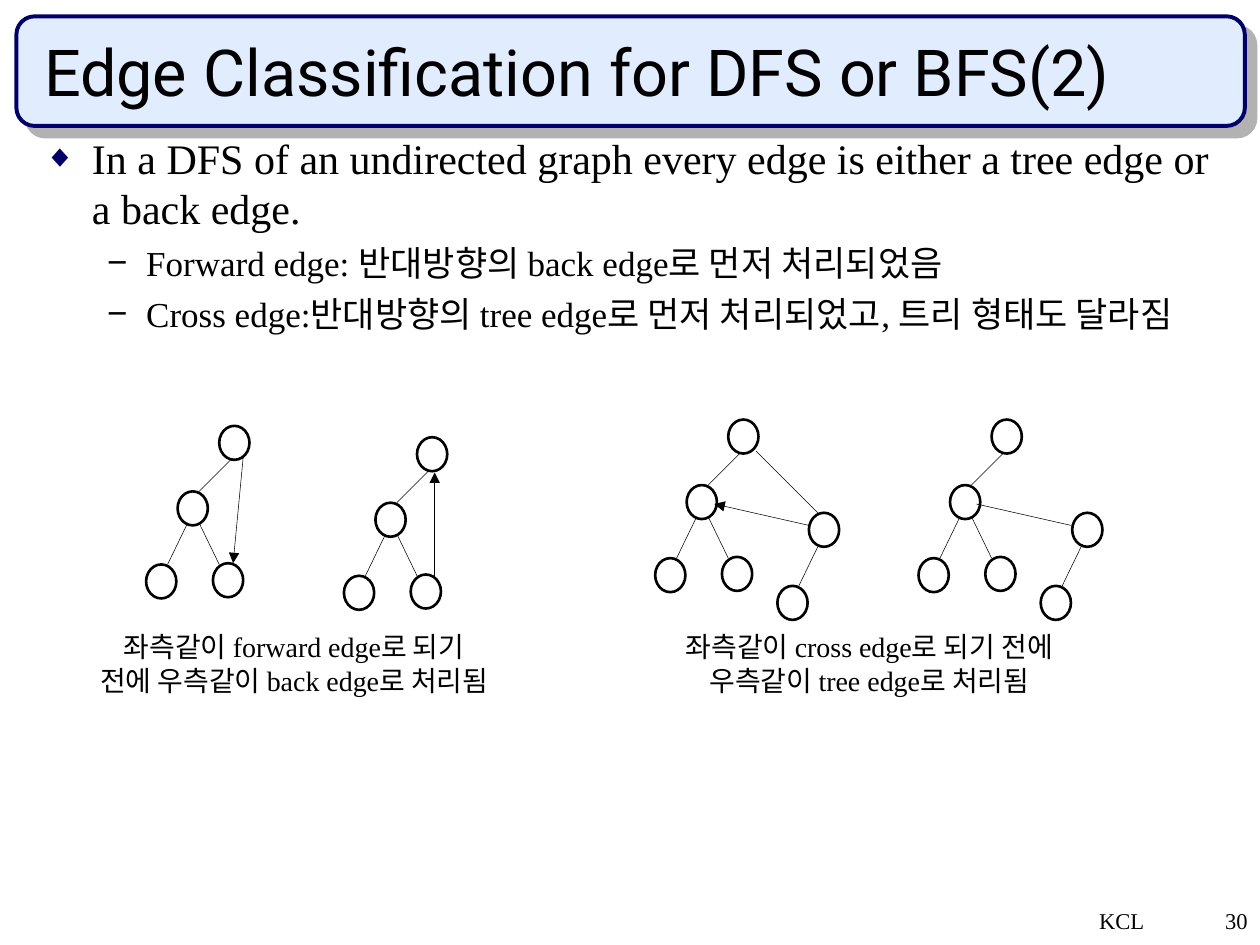
import pptx
import pptx.dml.color
import pptx.enum.shapes
import pptx.enum.text
import pptx.oxml
import pptx.oxml.ns
import pptx.util

BLACK = pptx.dml.color.RGBColor(0x00, 0x00, 0x00)
WHITE = pptx.dml.color.RGBColor(0xFF, 0xFF, 0xFF)
NAVY = pptx.dml.color.RGBColor(0x00, 0x00, 0x66)
PALE_BLUE = pptx.dml.color.RGBColor(0xE1, 0xEC, 0xFF)
GREY = pptx.dml.color.RGBColor(0xB2, 0xB2, 0xB2)

SERIF = "Times New Roman"
SANS = "Roboto"
ALIGN = pptx.enum.text.PP_ALIGN
SHAPE = pptx.enum.shapes.MSO_SHAPE

# The slide is a grid of 10 columns by 7.5 rows with square cells
COLUMNS, ROWS = 10, 7.5
CELL = pptx.util.Inches(1)

# Node and edge positions in grid cells from the root node's corner
NODE_WIDTH, NODE_HEIGHT = 0.24, 0.27
BASE_NODES = [(0, 0), (-0.33, 0.52), (-0.58, 1.1), (-0.05, 1.09)]
BASE_EDGES = [
    (0.09, 0.27, -0.16, 0.52),
    (-0.25, 0.77, -0.41, 1.1),
    (-0.16, 0.77, 0, 1.1),
]
BRANCH_NODES = [(0.64, 0.74), (0.39, 1.32)]
BRANCH_EDGE = (0.72, 0.99, 0.56, 1.32)
FORWARD_EDGE = (0.19, 0.25, 0.11, 1.09)
BACK_EDGE = (0.14, 1.11, 0.14, 0.28)
ROOT_EDGE = (0.22, 0.25, 0.72, 0.75)
CROSS_EDGE = (0.64, 0.84, -0.11, 0.67)
TREE_EDGE = (-0.12, 0.67, 0.63, 0.84)


def grid(*cells):
    return [round(cell * CELL) for cell in cells]


def add_xml(parent, tag, **attributes):
    child = pptx.oxml.parse_xml(f"<a:{tag} {pptx.oxml.ns.nsdecls('a')}/>")
    for name, value in attributes.items():
        child.set(name, str(value))
    parent.append(child)
    return child


def place(shape, left, top, width, height):
    shape.left, shape.top, shape.width, shape.height = grid(left, top, width, height)


def write(paragraph, text, size, font=SERIF, align=ALIGN.LEFT, before=0,
          line_spacing=None, bullet=None, tab=None):
    paragraph.alignment = align
    paragraph.space_before = pptx.util.Pt(before)
    paragraph.line_spacing = line_spacing
    properties = paragraph._p.get_or_add_pPr()
    if bullet:
        character, color, percent, margin, hanging = bullet
        properties.set("marL", str(pptx.util.Inches(margin)))
        properties.set("indent", str(-pptx.util.Inches(hanging)))
        add_xml(add_xml(properties, "buClr"), "srgbClr", val=color)
        add_xml(properties, "buSzPct", val=percent * 1000)
        add_xml(properties, "buChar", char=character)
    if tab:
        add_xml(add_xml(properties, "tabLst"), "tab", pos=pptx.util.Inches(tab), algn="l")
    paragraph.font.size = pptx.util.Pt(size)
    paragraph.font.name = font
    paragraph.font.color.rgb = BLACK
    paragraph.text = text


def add_text(slide, box, lines, size, wrap=True, **text_format):
    frame = slide.shapes.add_textbox(*grid(*box)).text_frame
    frame.word_wrap = wrap
    for index, line in enumerate(lines):
        paragraph = frame.add_paragraph() if index else frame.paragraphs[0]
        write(paragraph, line, size, **text_format)


def add_shape(slide, kind, box, fill, line, weight):
    shape = slide.shapes.add_shape(kind, *grid(*box))
    shape.shadow.inherit = False
    shape.fill.solid()
    shape.fill.fore_color.rgb = fill
    shape.line.color.rgb = line
    shape.line.width = pptx.util.Pt(weight)
    return shape


def add_banner(slide):
    banner = add_shape(slide, SHAPE.ROUNDED_RECTANGLE, (0.13, 0.13, 9.75, 0.87),
                       PALE_BLUE, NAVY, 2.25)
    effects = banner._element.spPr.find(pptx.oxml.ns.qn("a:effectLst"))
    shadow = add_xml(effects, "outerShdw", dist=pptx.util.Pt(8.5),
                     dir=45 * 60000, algn="ctr", rotWithShape=0)
    add_xml(shadow, "srgbClr", val=GREY)
    # Send the banner behind the title
    slide.shapes._spTree.insert(2, banner._element)


def add_edge(slide, root, edge, arrow=False):
    x, y = root
    x1, y1, x2, y2 = edge
    connector = slide.shapes.add_connector(
        pptx.enum.shapes.MSO_CONNECTOR.STRAIGHT, *grid(x + x1, y + y1, x + x2, y + y2))
    connector.line.color.rgb = BLACK
    connector.line.width = pptx.util.Pt(0.31)
    if arrow:
        add_xml(connector.line._get_or_add_ln(), "tailEnd", type="triangle")
    add_xml(connector._element.spPr, "effectLst")


def add_tree(slide, root, branch=False, edges=(), arrow=None):
    for x, y in BASE_NODES + (BRANCH_NODES if branch else []):
        add_shape(slide, SHAPE.OVAL, (root[0] + x, root[1] + y, NODE_WIDTH, NODE_HEIGHT),
                  WHITE, BLACK, 1.5)
    for edge in BASE_EDGES + ([BRANCH_EDGE] if branch else []) + list(edges):
        add_edge(slide, root, edge)
    if arrow:
        add_edge(slide, root, arrow, arrow=True)


def fill_title(title):
    place(title, 0.25, 0.25, 9.42, 0.67)
    frame = title.text_frame
    frame.auto_size = pptx.enum.text.MSO_AUTO_SIZE.NONE
    frame.vertical_anchor = pptx.enum.text.MSO_ANCHOR.BOTTOM
    write(frame.paragraphs[0], "Edge Classification for DFS or BFS(2)", 37, font=SANS)


def fill_body(body):
    place(body, 0.25, 1, 9.67, 2.17)
    frame = body.text_frame
    frame.auto_size = pptx.enum.text.MSO_AUTO_SIZE.NONE
    write(frame.paragraphs[0],
          "In a DFS of an undirected graph every edge is either a tree edge or a back edge.",
          24, bullet=("◆", NAVY, 75, 0.38, 0.38))
    for text in ("Forward edge: 반대방향의 back edge로 먼저 처리되었음",
                 "Cross edge:반대방향의 tree edge로 먼저 처리되었고, 트리 형태도 달라짐"):
        paragraph = frame.add_paragraph()
        paragraph.level = 1
        write(paragraph, text, 20, before=5, bullet=("−", BLACK, 100, 0.81, 0.31))


def main():
    presentation = pptx.Presentation()
    presentation.slide_width, presentation.slide_height = grid(COLUMNS, ROWS)
    slide = presentation.slides.add_slide(presentation.slide_layouts[1])

    # Heading and list
    add_banner(slide)
    fill_title(slide.shapes.title)
    fill_body(slide.placeholders[1])

    # Forward edge turned into a back edge
    add_tree(slide, (1.74, 3.38), arrow=FORWARD_EDGE)
    add_tree(slide, (3.31, 3.47), arrow=BACK_EDGE)
    add_text(slide, (0.67, 4.95, 3.33, 0.9),
             ["좌측같이 forward edge로 되기 전에 우측같이 back edge로 처리됨"],
             16, align=ALIGN.CENTER)

    # Cross edge turned into a tree edge
    add_tree(slide, (5.78, 3.33), branch=True, edges=[ROOT_EDGE], arrow=CROSS_EDGE)
    add_tree(slide, (7.87, 3.33), branch=True, edges=[TREE_EDGE])
    add_text(slide, (5.27, 4.95, 3.26, 0.64),
             ["좌측같이 cross edge로 되기 전에", "우측같이 tree edge로 처리됨"],
             16, wrap=False, align=ALIGN.CENTER)

    # Footer
    add_text(slide, (7.92, 7.17, 2.08, 0.33), ["KCL\t30"], 12.9,
             align=ALIGN.RIGHT, line_spacing=0.9, tab=1)

    presentation.save("out.pptx")


if __name__ == "__main__":
    main()
